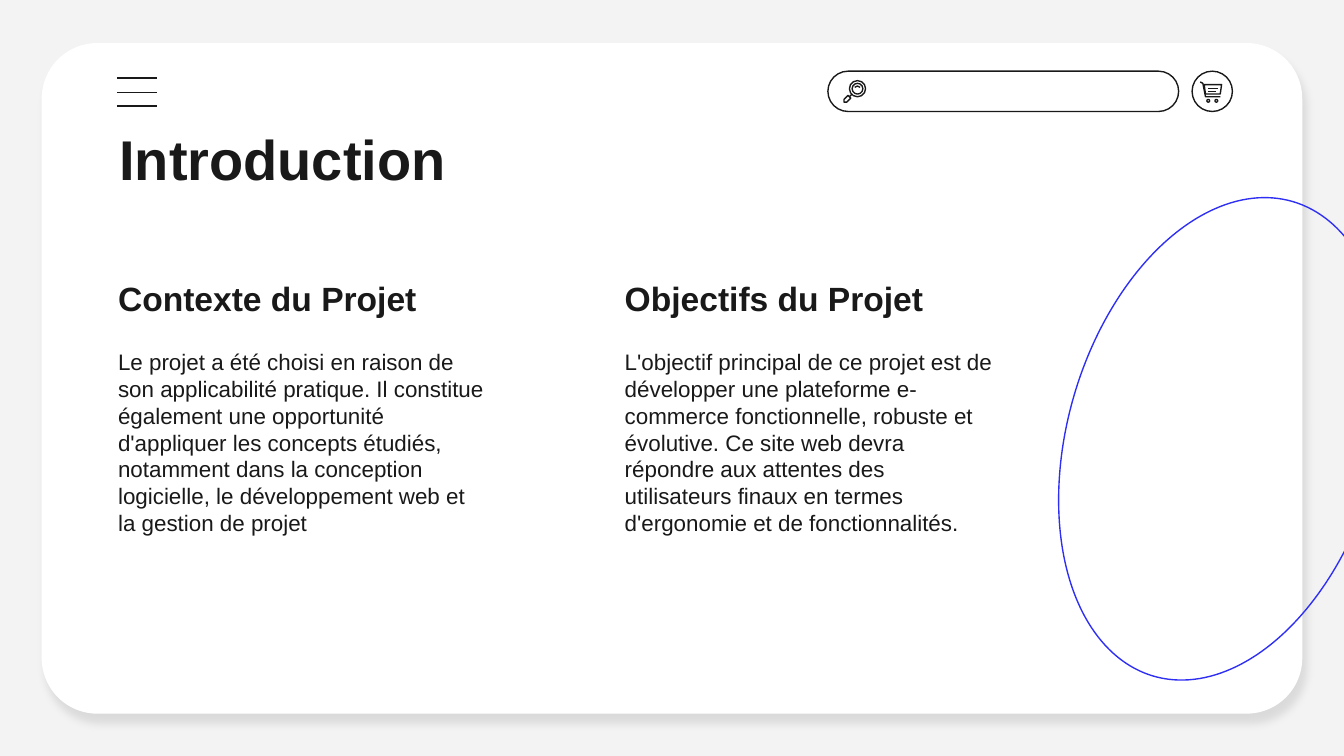
from lxml import etree
from pptx import Presentation
from pptx.dml.color import RGBColor
from pptx.enum.shapes import MSO_CONNECTOR, MSO_SHAPE
from pptx.enum.text import MSO_ANCHOR
from pptx.oxml import parse_xml
from pptx.oxml.ns import nsdecls, qn
from pptx.util import Inches, Pt

INK = RGBColor(0x19, 0x19, 0x19)
WHITE = RGBColor(0xFF, 0xFF, 0xFF)
GREY = RGBColor(0xF3, 0xF3, 0xF3)
BLUE = RGBColor(0x2F, 0x2F, 0xF4)

TITLE = "Introduction"
COLUMNS = [
    ("Contexte du Projet", 0.78, 1.77,
     "Le projet a été choisi en raison de son applicabilité pratique. Il constitue "
     "également une opportunité d'appliquer les concepts étudiés, notamment dans la "
     "conception logicielle, le développement web et la gestion de projet"),
    ("Objectifs du Projet", 4.55, 1.96,
     "L'objectif principal de ce projet est de développer une plateforme e-commerce "
     "fonctionnelle, robuste et évolutive. Ce site web devra répondre aux attentes des "
     "utilisateurs finaux en termes d'ergonomie et de fonctionnalités."),
]
TITLE_STYLE = {"size": Pt(30), "bold": True}
HEADING_STYLE = {"size": Pt(18), "bold": True}
BODY_STYLE = {"size": Pt(12), "bold": False}

MENU_LINES = [0.58, 0.69, 0.79]
CIRCLES = [
    (8.87, 0.53, 0.3),
    (6.32, 0.6, 0.12),
    (6.34, 0.62, 0.08),
    (8.98, 0.74, 0.02),
    (9.04, 0.74, 0.02),
]
ICON_UNIT = Inches(0.01)
ICON_STROKES = [
    ([(636, 65), (638, 64), (640, 65)], False),
    ([(631, 71), (633, 73), (630, 76), (628, 76), (628, 74)], True),
    ([(632, 72), (634, 70)], False),
    ([(896, 63), (909, 63), (908, 70), (897, 70)], True),
    ([(893, 61), (895, 62), (897, 72), (908, 72)], False),
    ([(899, 66), (906, 66)], False),
    ([(899, 68), (905, 68)], False),
]


def outline(shape, color=INK):
    shape.shadow.inherit = False
    shape.fill.background()
    shape.line.color.rgb = color
    shape.line.width = Pt(0.75)


def add_preset(page, kind, *place):
    return page.shapes.add_shape(kind, *map(Inches, place))


def add_card(page):
    card = add_preset(page, MSO_SHAPE.ROUNDED_RECTANGLE, 0.31, 0.32, 9.38, 4.99)
    card.adjustments[0] = 0.083
    card.fill.solid()
    card.fill.fore_color.rgb = WHITE
    card.line.fill.background()
    card.shadow.inherit = False
    effects = card._element.spPr.find(qn("a:effectLst"))
    effects.append(parse_xml(
        f'<a:outerShdw {nsdecls("a")} blurRad="{Pt(4.5)}" dist="{Pt(6)}" '
        f'dir="{68 * 60000}" algn="bl" rotWithShape="0">'
        '<a:srgbClr val="000000"><a:alpha val="10000"/></a:srgbClr></a:outerShdw>'))


def add_toolbar(page):
    for top in MENU_LINES:
        bar = page.shapes.add_connector(
            MSO_CONNECTOR.STRAIGHT, *map(Inches, (0.87, top, 1.17, top)))
        bar.line.color.rgb = INK
        bar.line.width = Pt(0.75)
        etree.SubElement(bar._element.spPr, qn("a:effectLst"))
    search = add_preset(page, MSO_SHAPE.ROUNDED_RECTANGLE, 6.16, 0.53, 2.61, 0.3)
    search.adjustments[0] = 0.5
    outline(search)
    for left, top, size in CIRCLES:
        outline(add_preset(page, MSO_SHAPE.OVAL, left, top, size, size))
    for points, closed in ICON_STROKES:
        builder = page.shapes.build_freeform(*points[0], scale=ICON_UNIT)
        builder.add_line_segments(points[1:], close=closed)
        outline(builder.convert_to_shape())


def add_text(page, text, place, style, anchor=MSO_ANCHOR.TOP):
    box = page.shapes.add_textbox(*map(Inches, place))
    frame = box.text_frame
    layout = {"word_wrap": True, "vertical_anchor": anchor}
    layout.update({f"margin_{side}": Inches(0.1)
                   for side in ("left", "top", "right", "bottom")})
    for name, value in layout.items():
        setattr(frame, name, value)
    span = frame.paragraphs[0].add_run()
    span.text = text
    for name, value in {"name": "Arial", **style}.items():
        setattr(span.font, name, value)
    span.font.color.rgb = INK


def main():
    deck = Presentation()
    deck.slide_width = Inches(10)
    deck.slide_height = deck.slide_width * 9 // 16
    page = deck.slides.add_slide(deck.slide_layouts[6])
    page.background.fill.solid()
    page.background.fill.fore_color.rgb = GREY
    add_card(page)
    add_toolbar(page)
    add_text(page, TITLE, (0.79, 0.83, 8.43, 0.63), TITLE_STYLE)
    for heading, left, height, body in COLUMNS:
        add_text(page, heading, (left, 1.96, 2.95, 0.51), HEADING_STYLE, MSO_ANCHOR.BOTTOM)
        add_text(page, body, (left, 2.49, 2.95, height), BODY_STYLE)
    ring = add_preset(page, MSO_SHAPE.OVAL, 7.26, 2.11, 3.68, 2.31)
    ring.rotation = 106.4
    outline(ring, BLUE)
    deck.save("out.pptx")


if __name__ == "__main__":
    main()
